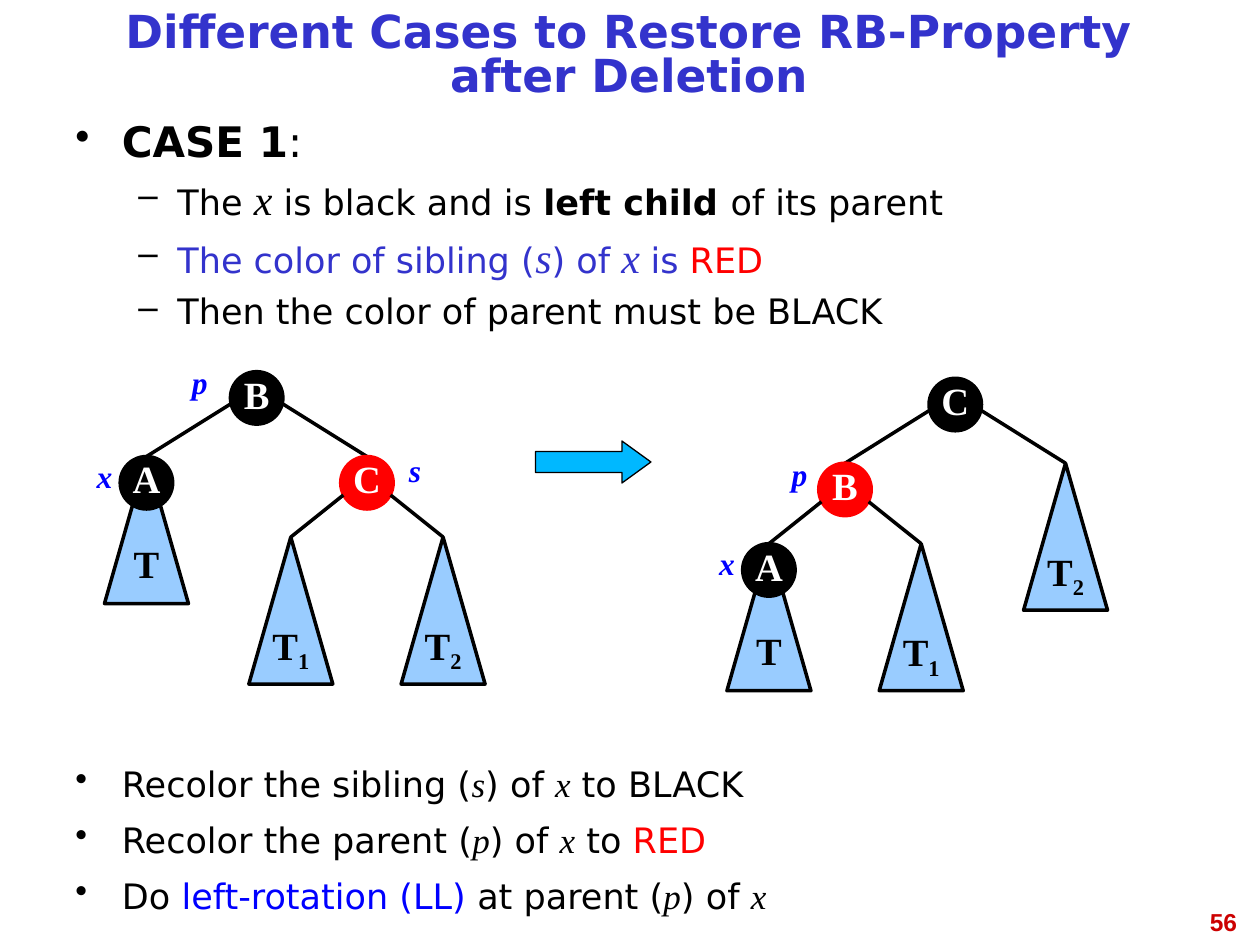
from lxml import etree
from pptx import Presentation
from pptx.dml.color import RGBColor
from pptx.enum import shapes, text
from pptx.oxml import ns
from pptx.util import Pt

BLACK = RGBColor(0, 0, 0)
WHITE = RGBColor(255, 255, 255)
RED = RGBColor(255, 0, 0)
BLUE = RGBColor(0, 0, 255)
INDIGO = RGBColor(0x33, 0x33, 0xCC)
SKY = RGBColor(0x99, 0xCC, 0xFF)
CYAN = RGBColor(0, 0xB8, 0xFF)
CRIMSON = RGBColor(0xCC, 0, 0)
SANS, SERIF = "DejaVu Sans", "Times New Roman"

TITLE = "Different Cases to Restore RB-Property after Deletion"
PAGE = "56"

CASE = [
    (0, [("CASE 1", "bold", BLACK), (":", "plain", BLACK)]),
    (1, [("The ", "plain", BLACK), ("x", "math", BLACK), (" is black and is ", "plain", BLACK),
         ("left child ", "bold", BLACK), ("of its parent", "plain", BLACK)]),
    (1, [("The color of sibling (", "plain", INDIGO), ("s", "math", INDIGO),
         (") of ", "plain", INDIGO), ("x ", "math", INDIGO), ("is ", "plain", INDIGO),
         ("RED", "plain", RED)]),
    (1, [("Then the color of parent must be BLACK", "plain", BLACK)]),
]
STEPS = [
    (0, [("Recolor the sibling (", "plain", BLACK), ("s", "math", BLACK),
         (") of ", "plain", BLACK), ("x", "math", BLACK), (" to BLACK", "plain", BLACK)]),
    (0, [("Recolor the parent (", "plain", BLACK), ("p", "math", BLACK),
         (") of ", "plain", BLACK), ("x", "math", BLACK), (" to ", "plain", BLACK),
         ("RED", "plain", RED)]),
    (0, [("Do ", "plain", BLACK), ("left-rotation (LL)", "plain", BLUE),
         (" at parent (", "plain", BLACK), ("p", "math", BLACK),
         (") of ", "plain", BLACK), ("x", "math", BLACK)]),
]

A = {"key": "A", "fill": BLACK, "tag": ("x", -24, -18.5), "below": ["T"]}
BEFORE = {"key": "B", "fill": BLACK, "tag": ("p", -32.5, -23.5), "below": [
    A, {"key": "C", "fill": RED, "tag": ("s", 27.5, -22), "below": ["T1", "T2"]}]}
AFTER = {"key": "C", "fill": BLACK, "below": [
    {"key": "B", "fill": RED, "tag": ("p", -26, -23.5), "below": [A, "T1"]}, "T2"]}
TREES = [(BEFORE, 146.7, 227.4), (AFTER, 545.9, 231.2)]

RADIUS = 15
SUBTREE_W, SUBTREE_H = 48, 84
EDGES = [((15, 3.5), (63, 33.5)), ((13.5, 7), (43.5, 31))]
BULLETS = [("•", 26.6, 26.6), ("–", 58.3, 22.3)]

deck = Presentation()
deck.slide_width, deck.slide_height = Pt(720), Pt(540)
slide = deck.slides.add_slide(deck.slide_layouts[5])


def style(font, size, face, color, bold=None, italic=None):
    font.size, font.name, font.bold, font.italic = Pt(size), face, bold, italic
    font.color.rgb = color


def add_label(words, left, top, width, height, align, *look):
    frame = slide.shapes.add_textbox(Pt(left), Pt(top), Pt(width), Pt(height)).text_frame
    frame.word_wrap = True
    line = frame.paragraphs[0]
    line.text, line.alignment = words, align
    style(line.font, *look)


def add_bullets(items, top, height, gap, spacing, math_size):
    frame = slide.shapes.add_textbox(Pt(36), Pt(top), Pt(647), Pt(height)).text_frame
    frame.word_wrap = True
    for index, (level, runs) in enumerate(items):
        line = frame.paragraphs[0] if index == 0 else frame.add_paragraph()
        line.level, line.alignment = level, text.PP_ALIGN.JUSTIFY
        line.line_spacing = spacing
        line.space_before = Pt(gap - level if index else 0)
        mark, indent, hang = BULLETS[level]
        props = line._p.get_or_add_pPr()
        props.set("marL", str(Pt(indent)))
        props.set("indent", str(-Pt(hang)))
        tint = etree.SubElement(props, ns.qn("a:buClr"))
        etree.SubElement(tint, ns.qn("a:srgbClr"), val=str(BLACK))
        etree.SubElement(props, ns.qn("a:buChar"), char=mark)
        for words, kind, color in runs:
            run = line.add_run()
            run.text = words
            math = kind == "math"
            heading = items is CASE and level == 0
            size = math_size if math else 24 if heading else 20
            style(run.font, size, SERIF if math else SANS, color, kind == "bold", math)


def add_part(preset, left, top, width, height, fill, line, weight=2):
    part = slide.shapes.add_shape(preset, Pt(left), Pt(top), Pt(width), Pt(height))
    part.shadow.inherit = False
    part.fill.solid()
    part.fill.fore_color.rgb = fill
    part.line.color.rgb, part.line.width = line, Pt(weight)
    return part


def letter(part, words, color):
    frame = part.text_frame
    frame.word_wrap = False
    frame.vertical_anchor = text.MSO_ANCHOR.MIDDLE
    line = frame.paragraphs[0]
    line.alignment, line.line_spacing = text.PP_ALIGN.CENTER, 0.81
    for position, glyph in enumerate(words):
        run = line.add_run()
        run.text = glyph
        if position:
            run.font._element.set("baseline", "-25000")
    style(line.font, 22, SERIF, color, True)


def add_subtree(name, x, top):
    part = add_part(shapes.MSO_SHAPE.ISOSCELES_TRIANGLE, x - SUBTREE_W / 2, top,
                    SUBTREE_W, SUBTREE_H, SKY, BLACK)
    letter(part, name, BLACK)


def add_edge(x1, y1, x2, y2):
    edge = slide.shapes.add_connector(shapes.MSO_CONNECTOR.STRAIGHT,
                                      Pt(x1), Pt(y1), Pt(x2), Pt(y2))
    edge.line.color.rgb, edge.line.width = BLACK, Pt(2)
    etree.SubElement(edge._element.spPr, ns.qn("a:effectLst"))


def add_tree(node, x, y, depth=0):
    if isinstance(node, str):
        add_subtree(node, x, y - RADIUS)
        return
    below = node["below"]
    if len(below) == 1:
        add_subtree(below[0], x, y - RADIUS)
    circle = add_part(shapes.MSO_SHAPE.OVAL, x - RADIUS, y - RADIUS,
                      2 * RADIUS, 2 * RADIUS, node["fill"], node["fill"])
    letter(circle, node["key"], WHITE)
    if "tag" in node:
        name, dx, dy = node["tag"]
        add_label(name, x + dx - 21, y + dy, 42, 29, text.PP_ALIGN.CENTER,
                  18, SERIF, BLUE, True, True)
    if len(below) == 2:
        (out_x, out_y), (end_x, end_y) = EDGES[depth]
        for side, child in zip((-1, 1), below):
            add_edge(x + side * out_x, y + out_y, x + side * end_x, y + end_y)
            add_tree(child, x + side * end_x, y + end_y + RADIUS, depth + 1)


title = slide.shapes.title
title.left, title.top, title.width, title.height = Pt(36), Pt(5.8), Pt(647), Pt(54)
title.text_frame.text = TITLE
title.text_frame.auto_size = text.MSO_AUTO_SIZE.NONE
title.text_frame.vertical_anchor = text.MSO_ANCHOR.MIDDLE
headline = title.text_frame.paragraphs[0]
headline.alignment, headline.line_spacing = text.PP_ALIGN.CENTER, 0.81
style(headline.font, 26, SANS, INDIGO, True)

add_bullets(CASE, 66, 138, 8, 0.9, 24)
for root, x, y in TREES:
    add_tree(root, x, y)
arrow = add_part(shapes.MSO_SHAPE.RIGHT_ARROW, 306, 252, 66, 24, CYAN, BLACK, 0.75)
arrow.adjustments[1] = 0.69
add_bullets(STEPS, 432, 90, 8, 1.0, 20)
add_label(PAGE, 546, 515, 168, 25, text.PP_ALIGN.RIGHT, 14, "Arial", CRIMSON, True)

deck.save("out.pptx")
